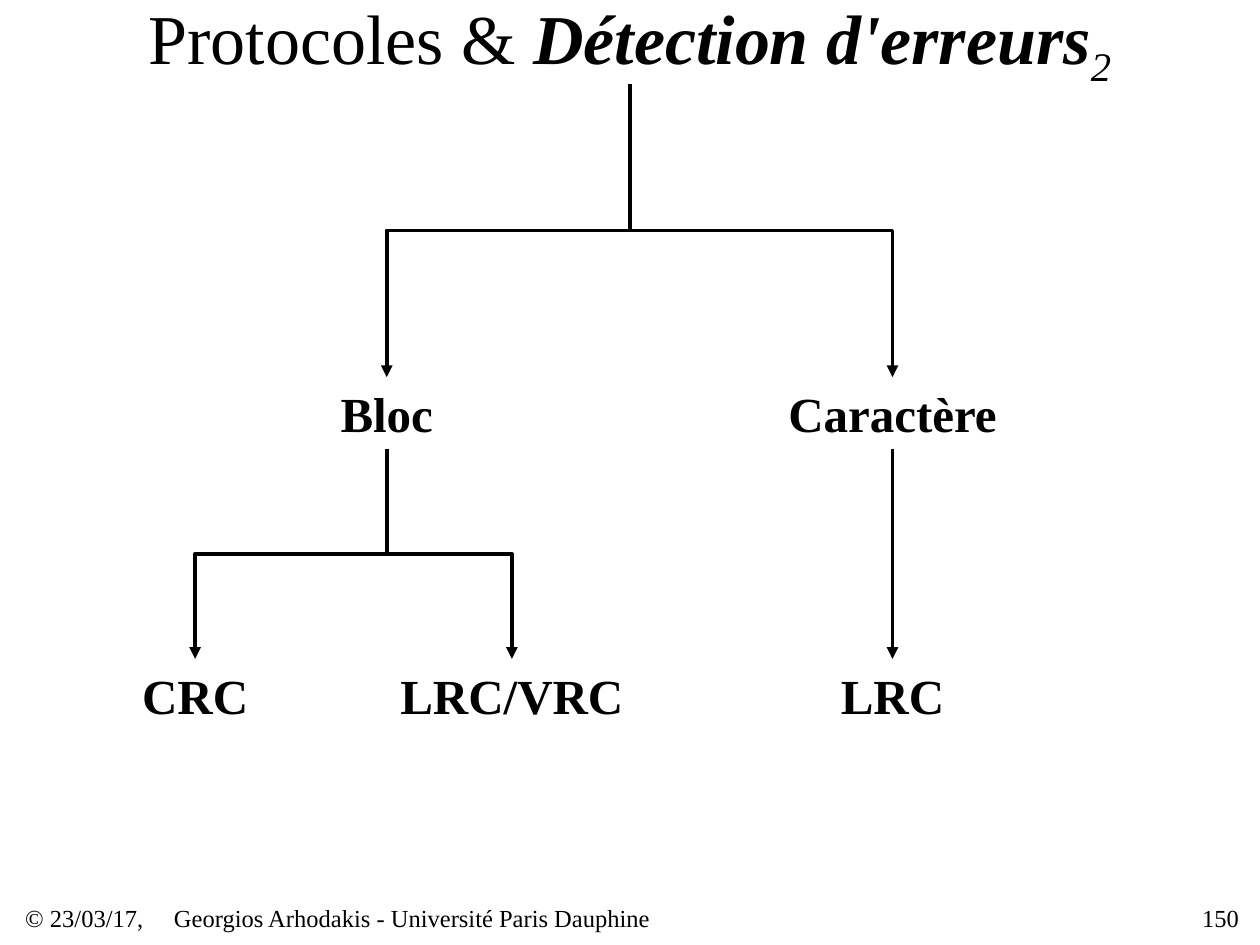
from lxml.etree import SubElement
from pptx import Presentation
from pptx.dml.color import RGBColor
from pptx.enum.shapes import MSO_CONNECTOR
from pptx.enum.text import MSO_ANCHOR, PP_ALIGN
from pptx.oxml.ns import qn
from pptx.util import Pt

BLACK = RGBColor(0, 0, 0)
WHITE = RGBColor(255, 255, 255)
FONT = "Times New Roman"


class TreePage:
    """Draws the text and arrows of a tree diagram on one slide."""

    def __init__(self, deck):
        self.page = deck.slides.add_slide(deck.slide_layouts[6])
        self.page.background.fill.solid()
        self.page.background.fill.fore_color.rgb = WHITE

    def text(self, spans, left, top, width, height, size, align, inset=(0, 0), bold=None):
        box = self.page.shapes.add_textbox(Pt(left), Pt(top), Pt(width), Pt(height))
        frame = box.text_frame
        frame.word_wrap = True
        frame.vertical_anchor = MSO_ANCHOR.MIDDLE
        frame.margin_left = frame.margin_right = Pt(inset[0])
        frame.margin_top = frame.margin_bottom = Pt(inset[1])
        para = frame.paragraphs[0]
        para.alignment = align
        para.font.name = FONT
        para.font.size = Pt(size)
        para.font.color.rgb = BLACK
        para.font.bold = bold
        for words in spans:
            para.add_run().text = words
        return box

    def title(self, plain, strong, index):
        box = self.text([plain, strong, index], 54, 0, 612, 48, 40, PP_ALIGN.CENTER)
        _, strong_span, index_span = box.text_frame.paragraphs[0].runs
        strong_span.font.bold = True
        strong_span.font.italic = index_span.font.italic = True
        index_span.font._element.set("baseline", "-25000")
        return box

    def node(self, words, center, top, width):
        return self.text([words], center - width / 2, top, width, 41, 28,
                         PP_ALIGN.CENTER, (7.2, 3.6), True)

    def footer(self, words, left, width, align=PP_ALIGN.LEFT):
        self.text([words], left, 515.5, width, 17.5, 14, align)

    def arrow(self, parent, child):
        parent_x = parent.left + parent.width // 2
        child_x = child.left + child.width // 2
        kind = MSO_CONNECTOR.STRAIGHT if parent_x == child_x else MSO_CONNECTOR.ELBOW
        arrow = self.page.shapes.add_connector(
            kind, parent_x, parent.top + parent.height, child_x, child.top)
        arrow.begin_connect(parent, 2)
        arrow.end_connect(child, 0)
        if kind == MSO_CONNECTOR.ELBOW:
            self.turn_down(arrow)
        arrow.line.color.rgb = BLACK
        arrow.line.width = Pt(2.25)
        SubElement(arrow.line._get_or_add_ln(), qn("a:tailEnd"), type="triangle")
        SubElement(arrow._element.spPr, qn("a:effectLst"))

    def turn_down(self, arrow):
        across, down = arrow.width, arrow.height
        rightward = arrow.end_x > arrow.begin_x
        shift = (across - down) // 2
        arrow.left, arrow.top = arrow.left + shift, arrow.top - shift
        arrow.width, arrow.height = down, across
        frame = arrow._element.spPr.find(qn("a:xfrm"))
        frame.rot = 270 if rightward else 90
        frame.flipH = rightward


def main():
    deck = Presentation()
    deck.slide_width, deck.slide_height = Pt(720), Pt(540)
    tree = TreePage(deck)
    title = tree.title("Protocoles & ", "Détection d'erreurs", "2")
    middle, bottom = 215.5, 376.5
    block = tree.node("Bloc", 221, middle, 74)
    character = tree.node("Caractère", 510, middle, 146)
    crc = tree.node("CRC", 111.5, bottom, 82)
    lrc_vrc = tree.node("LRC/VRC", 292.5, bottom, 155)
    lrc = tree.node("LRC", 510, bottom, 82)
    for parent, child in [(block, crc), (block, lrc_vrc), (title, block),
                          (title, character), (character, lrc)]:
        tree.arrow(parent, child)
    tree.footer("© 23/03/17,", 14.4, 85)
    tree.footer("Georgios Arhodakis - Université Paris Dauphine", 99.4, 425)
    tree.footer("150", 637.5, 70.5, PP_ALIGN.RIGHT)
    deck.save("out.pptx")


if __name__ == "__main__":
    main()
